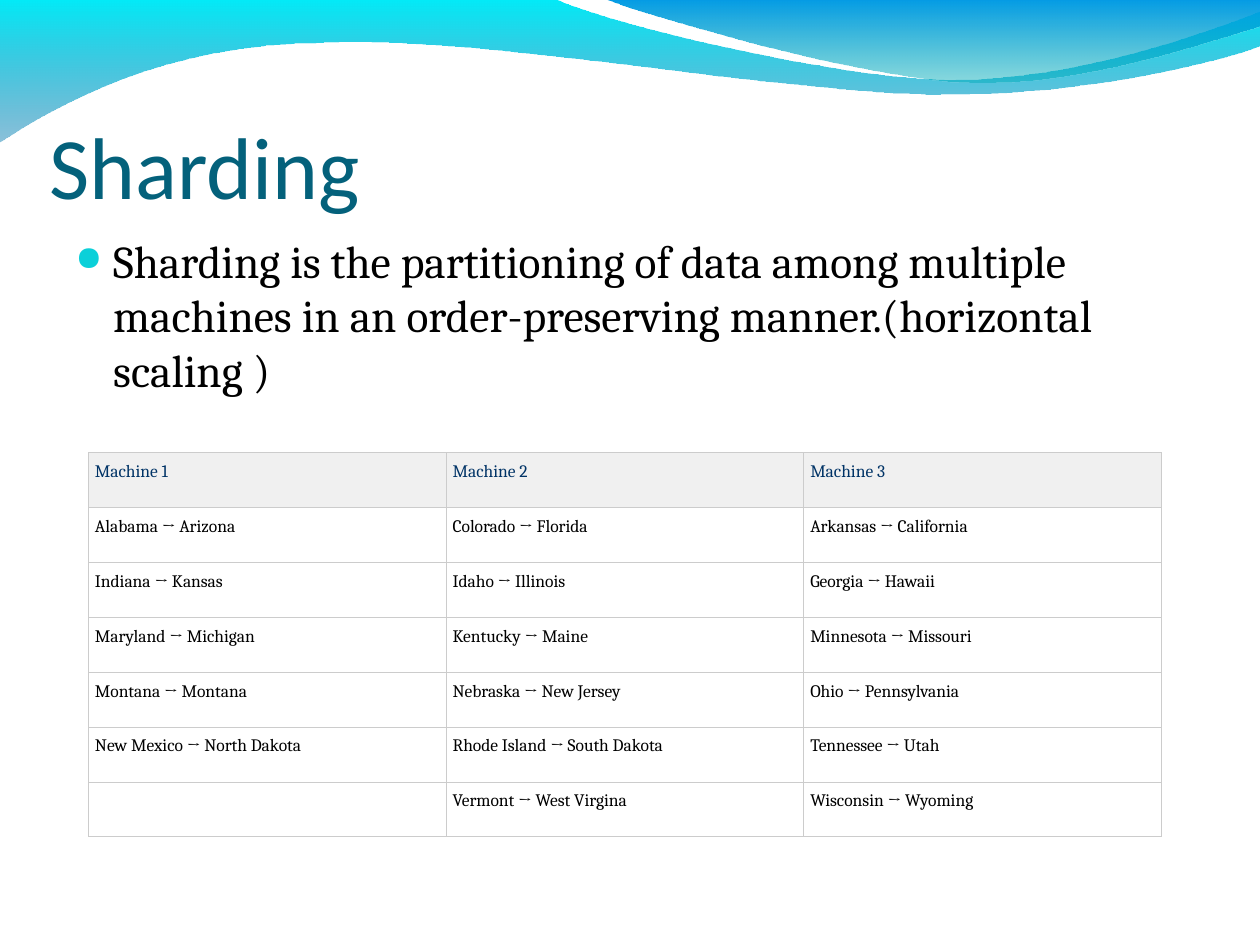
from lxml import etree
from pptx import Presentation
from pptx import util as u
from pptx.dml.color import RGBColor
from pptx.enum import text
from pptx.oxml.ns import qn

# Content
TITLE = "Sharding"
BODY = ("Sharding is the partitioning of data among multiple machines "
        "in an order-preserving manner.(horizontal scaling )")
ROWS = [
    ("Machine 1", "Machine 2", "Machine 3"),
    ("Alabama → Arizona", "Colorado → Florida", "Arkansas → California"),
    ("Indiana → Kansas", "Idaho → Illinois", "Georgia → Hawaii"),
    ("Maryland → Michigan", "Kentucky → Maine", "Minnesota → Missouri"),
    ("Montana → Montana", "Nebraska → New Jersey", "Ohio → Pennsylvania"),
    ("New Mexico → North Dakota", "Rhode Island → South Dakota", "Tennessee → Utah"),
    ("", "Vermont → West Virgina", "Wisconsin → Wyoming"),
]
COLORS = {
    "title": "04617B", "body": "000000", "bullet": "0BD0D9",
    "header": "003366", "header_fill": "F0F0F0", "cell_fill": "FFFFFF",
    "border": "CCCCCC", "cyan": "00EBF8", "navy": "0079AF",
    "blue": "009BE5", "teal": "00ADB6",
}
# Waves in points: a pair is a line's end, six numbers are a Bezier curve
WAVES = [
    ("cyan", "navy", (0, -0.7), [
        (316.8, -0.7),
        (342.7, 12.2, 478.1, 45.4, 545.8, 45.4),
        (614.2, 45.4, 689.8, 18.7, 720, 6.5),
        (720.7, 25.9),
        (707.8, 31.7, 626.4, 54.7, 537.1, 54),
        (447.8, 54, 275, 20.2, 185, 24.5),
        (92.9, 25.2, 33.1, 59.8, -0.7, 81.4)]),
    ("blue", "teal", (344.9, -0.7), [
        (366.5, 7.9, 491, 44.6, 553.7, 46.8),
        (616.3, 49.7, 691.9, 23, 720, 15.1),
        (720, 0)]),
]
WAVE_OPACITY = 45


def rgb(name):
    return RGBColor.from_string(COLORS[name])


def sub(parent, tag, **attrs):
    return etree.SubElement(parent, qn(tag), attrs)


def add_wave(s, top, bottom, start, segments):
    fb = s.shapes.build_freeform(*map(u.Pt, start))
    for seg in segments:
        points = [(u.Pt(x), u.Pt(y)) for x, y in zip(seg[::2], seg[1::2])]
        fb.add_line_segments(points, close=seg is segments[-1])
    sp = fb.convert_to_shape()

    # Turn each run of three curve points into one Bezier segment
    lines = iter(sp._element.findall(".//" + qn("a:lnTo")))
    for seg in segments:
        group = [next(lines) for _ in seg[::2]]
        if len(group) == 3:
            curve = etree.Element(qn("a:cubicBezTo"))
            group[0].addprevious(curve)
            for line in group:
                curve.append(line[0])
                line.getparent().remove(line)

    sp.shadow.inherit = False
    sp.line.fill.background()
    sp.fill.gradient()
    sp.fill.gradient_angle = 270
    for stop, name in zip(sp.fill.gradient_stops, (top, bottom)):
        stop.color.rgb = rgb(name)
    last = sp._element.spPr.findall(".//" + qn("a:srgbClr"))[-1]
    sub(last, "a:alpha", val=str(WAVE_OPACITY * 1000))


def style(p, font, size, color):
    for r in p.runs:
        r.font.name, r.font.size = font, u.Pt(size)
        r.font.color.rgb = rgb(color)


def add_text(s, box, margins, anchor, content, font, size, color):
    tf = s.shapes.add_textbox(*map(u.Pt, box)).text_frame
    tf.word_wrap = True
    tf.vertical_anchor = anchor
    side, bottom = margins
    tf.margin_left = tf.margin_right = u.Pt(side)
    tf.margin_bottom = u.Pt(bottom)
    tf.text = content
    style(tf.paragraphs[0], font, size, color)
    return tf.paragraphs[0]


def add_borders(cell):
    pr = cell._tc.get_or_add_tcPr()
    for i, side in enumerate(("a:lnL", "a:lnR", "a:lnT", "a:lnB")):
        ln = etree.Element(qn(side), w=str(u.Pt(0.34)))
        sub(sub(ln, "a:solidFill"), "a:srgbClr", val=COLORS["border"])
        pr.insert(i, ln)


def main():
    prs = Presentation()
    prs.slide_width, prs.slide_height = u.Pt(720), u.Pt(540)
    s = prs.slides.add_slide(prs.slide_layouts[6])

    # Header waves
    for wave in WAVES:
        add_wave(s, *wave)

    # Title and bullet
    add_text(s, (28.1, 34.1, 648, 90), (0, 0), text.MSO_ANCHOR.BOTTOM,
             TITLE, "Calibri", 50, "title")
    p = add_text(s, (36, 129.4, 639.4, 368.6), (7.2, 3.6), text.MSO_ANCHOR.TOP,
                 BODY, "Cambria", 26, "body")
    p.space_before = u.Pt(6.5)
    pr = p._p.get_or_add_pPr()
    pr.set("marL", str(u.Pt(21.6)))
    pr.set("indent", str(u.Pt(-21.6)))
    sub(sub(pr, "a:buClr"), "a:srgbClr", val=COLORS["bullet"])
    sub(pr, "a:buSzPct", val="75000")
    sub(pr, "a:buChar", char="●")

    # Table of shards
    col_w, row_h, n_cols = 204.4, 31.37, len(ROWS[0])
    table = s.shapes.add_table(
        len(ROWS), n_cols, u.Pt(50.5), u.Pt(258.7),
        u.Pt(col_w * n_cols), u.Pt(row_h * len(ROWS))).table
    for col in table.columns:
        col.width = u.Pt(col_w)
    for i, values in enumerate(ROWS):
        table.rows[i].height = u.Pt(row_h)
        for j, value in enumerate(values):
            cell = table.cell(i, j)
            cell.margin_left = cell.margin_right = u.Pt(3.75)
            cell.margin_top = cell.margin_bottom = u.Pt(3.75)
            cell.fill.solid()
            cell.fill.fore_color.rgb = rgb("cell_fill" if i else "header_fill")
            add_borders(cell)
            if value:
                p = cell.text_frame.paragraphs[0]
                p.text = value
                p.line_spacing = u.Pt(13)
                style(p, "Cambria", 10, "body" if i else "header")
                p.runs[0].font.bold = False

    prs.save("out.pptx")


if __name__ == "__main__":
    main()
